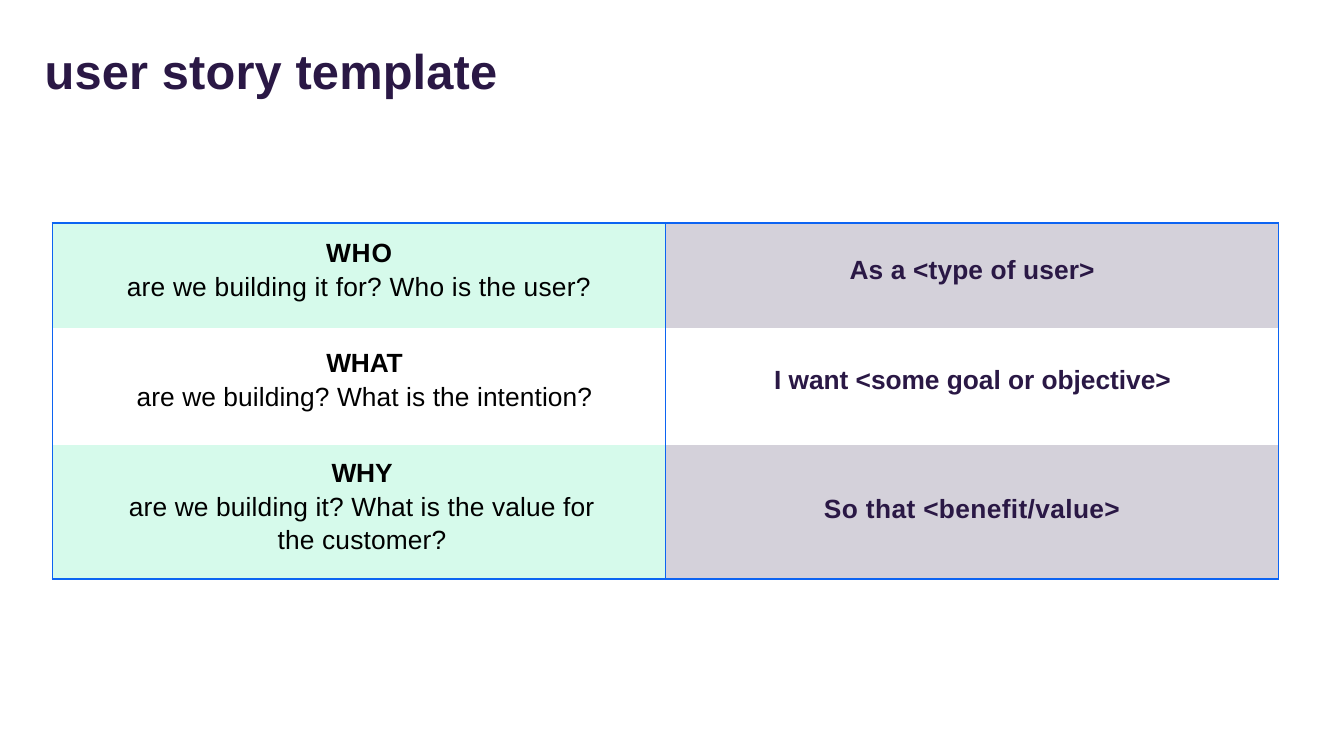
from pptx import Presentation
from pptx.dml.color import RGBColor
from pptx.enum import text
from pptx.oxml.ns import qn
from pptx.util import Pt
from lxml import etree

PX = 9144  # 100 px to the inch
INK = RGBColor(0x2A, 0x18, 0x45)
BLACK = RGBColor(0x00, 0x00, 0x00)
MINT = RGBColor(0xD6, 0xFA, 0xEB)
LILAC = RGBColor(0xD4, 0xD1, 0xDA)
BLUE = RGBColor(0x0C, 0x64, 0xF2)


def write(paragraph, words, size, color, bold, tracking):
    """Fill a paragraph; tracking is the letter spacing in hundredths of a point."""
    run = paragraph.add_run()
    run.text = words
    run._r.get_or_add_rPr().set("spc", str(tracking))
    font = paragraph.font
    font.name, font.size, font.bold = "Arial", Pt(size), bold
    font.color.rgb = color


def border(cell, sides):
    """Draw blue lines on the given sides (of L, R, T, B) and none on the others."""
    for side in "LRTB":
        line = etree.SubElement(cell._tc.get_or_add_tcPr(), qn(f"a:ln{side}"))
        if side in sides:
            line.set("w", str(Pt(2.25)))
            fill = etree.SubElement(line, qn("a:solidFill"))
            etree.SubElement(fill, qn("a:srgbClr"), val=str(BLUE))
        else:
            etree.SubElement(line, qn("a:noFill"))


prs = Presentation()
prs.slide_width, prs.slide_height = 2199 * PX, 1237 * PX
slide = prs.slides.add_slide(prs.slide_layouts[5])

title = slide.shapes.title
title.left, title.top, title.width, title.height = 73 * PX, 65 * PX, 1484 * PX, 99 * PX
frame = title.text_frame
frame.margin_left = frame.margin_right = frame.margin_bottom = 0
frame.margin_top = 2 * PX
frame.vertical_anchor = text.MSO_ANCHOR.TOP
frame.auto_size = text.MSO_AUTO_SIZE.NONE
heading = frame.paragraphs[0]
heading.alignment = text.PP_ALIGN.LEFT
write(heading, "user story template", 57.5, INK, True, 23)

# row height, fill colours, then per cell: (left, top, right) margins and
# lines of (words, bold, tracking)
stories = [
    (172, (MINT, LILAC),
     ((0, 25, 0), [("WHO", True, 100),
                   ("are we building it for? Who is the user?", False, 32)]),
     ((1, 54, 0), [("As a <type of user>", True, 20)])),
    (192, (None, None),
     ((18, 33, 0), [("WHAT", True, -20),
                    ("are we building? What is the intention?", False, 14)]),
     ((1, 62, 0), [("I want <some goal or objective>", True, -3)])),
    (218, (MINT, LILAC),
     ((89, 21, 79), [("WHY", True, -20),
                     ("are we building it? What is the value for the customer?", False, 24)]),
     ((0, 80, 0), [("So that <benefit/value>", True, 45)])),
]

table = slide.shapes.add_table(3, 2, 86 * PX, 365 * PX, 2006 * PX, 582 * PX).table
table.first_row = table.horz_banding = False
for column in table.columns:
    column.width = 1003 * PX

for r, (height, fills, *cells) in enumerate(stories):
    table.rows[r].height = height * PX
    outer = {0: "T", len(stories) - 1: "B"}.get(r, "")
    for c, (margins, lines) in enumerate(cells):
        cell = table.cell(r, c)
        border(cell, "LR" + outer)
        if fills[c]:
            cell.fill.solid()
            cell.fill.fore_color.rgb = fills[c]
        else:
            cell.fill.background()
        cell.margin_left, cell.margin_top, cell.margin_right = (m * PX for m in margins)
        cell.margin_bottom = 0
        cell.vertical_anchor = text.MSO_ANCHOR.TOP
        for i, (words, bold, tracking) in enumerate(lines):
            paragraph = cell.text_frame.add_paragraph() if i else cell.text_frame.paragraphs[0]
            paragraph.alignment = text.PP_ALIGN.CENTER
            if i:
                if r == 2:
                    paragraph.line_spacing = 1.15
                else:
                    paragraph.space_before = Pt(5.7)
            write(paragraph, words, 31, INK if c else BLACK, bold, tracking)

prs.save("out.pptx")
